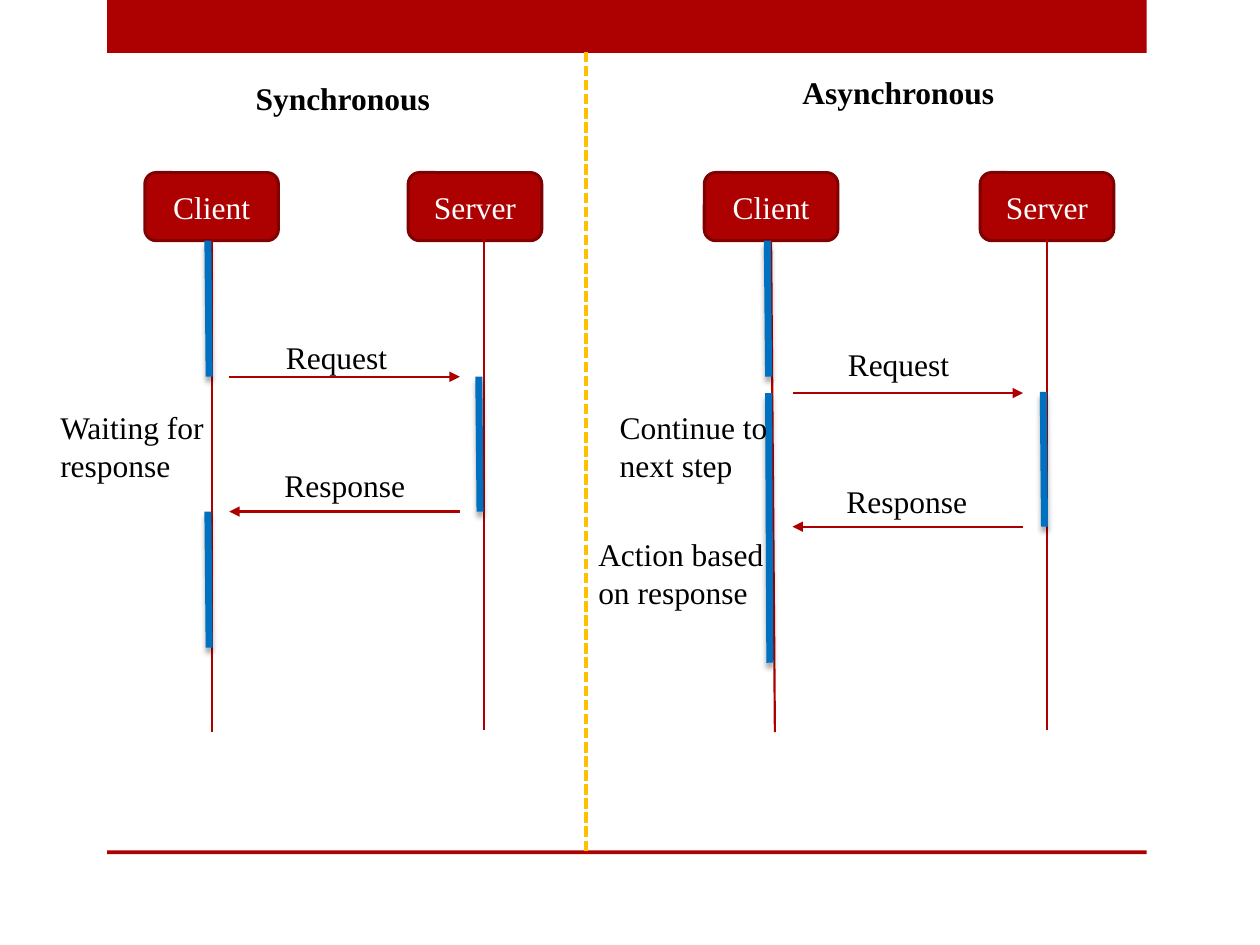
from dataclasses import dataclass

from lxml.etree import SubElement
from pptx import Presentation
from pptx.dml.color import RGBColor
from pptx.enum.dml import MSO_LINE
from pptx.enum.shapes import MSO_CONNECTOR, MSO_SHAPE as Preset
from pptx.enum.text import MSO_ANCHOR as Anchor, MSO_AUTO_SIZE as AutoSize, PP_ALIGN as Align
from pptx.oxml.ns import qn
from pptx.util import Inches, Pt


@dataclass(frozen=True)
class Theme:
    red: str = "AD0101"
    dark_red: str = "800101"
    blue: str = "0070C0"
    amber: str = "FFC000"
    black: str = "000000"
    white: str = "FFFFFF"
    font: str = "Times New Roman"
    size: float = 18
    box_line: float = 1.75
    thin_line: float = 1.25
    bar_line: float = 4
    divider_line: float = 2


THEME = Theme()
COLUMNS, ROWS = 100, 75
BOX_TOP, BOX_WIDTH, BOX_HEIGHT = 13.7, 10.6, 5.4
BOX_BOTTOM = BOX_TOP + BOX_HEIGHT
ARROW_LENGTH = 18.3

deck = Presentation()
deck.slide_width, deck.slide_height = Inches(10), Inches(7.5)
page = deck.slides.add_slide(deck.slide_layouts[6])


@dataclass(frozen=True)
class Label:
    left: float
    top: float
    width: float
    lines: tuple[str, ...]
    bold: bool = False
    height: float = 7.1


@dataclass(frozen=True)
class Participant:
    name: str
    box_left: float
    life_start: tuple[float, float]
    life_end: tuple[float, float]
    joined: bool
    bars: tuple[tuple[float, float, float], ...]  # column, first row, last row


@dataclass(frozen=True)
class Diagram:
    participants: tuple[Participant, ...]
    arrow_left: float
    request_row: float
    response_row: float
    labels: tuple[Label, ...]


def across(columns: float) -> int:
    return round(deck.slide_width * columns / COLUMNS)


def down(rows: float) -> int:
    return round(deck.slide_height * rows / ROWS)


def rgb(value: str) -> RGBColor:
    return RGBColor.from_string(value)


def write(para, text: str, color: str, bold: bool = False) -> None:
    span = para.add_run()
    span.text = text
    formats = {"name": THEME.font, "size": Pt(THEME.size), "bold": bold}
    for name, value in formats.items():
        setattr(span.font, name, value)
    span.font.color.rgb = rgb(color)


def add_block(preset, left: float, top: float, width: float, height: float):
    block = page.shapes.add_shape(preset, across(left), down(top), across(width), down(height))
    block.shadow.inherit = False
    block.fill.solid()
    block.fill.fore_color.rgb = rgb(THEME.red)
    return block


def add_band(top: float, height: float) -> None:
    add_block(Preset.RECTANGLE, 8.5, top, 82.5, height).line.fill.background()


def add_line(start, end, color: str, width: float, arrow=False, shadow=False, dash=None):
    line = page.shapes.add_connector(
        MSO_CONNECTOR.STRAIGHT, across(start[0]), down(start[1]), across(end[0]), down(end[1]))
    line.line.color.rgb = rgb(color)
    line.line.width = Pt(width)
    if dash:
        line.line.dash_style = dash
    properties = line._element.spPr
    if arrow:
        SubElement(properties.find(qn("a:ln")), qn("a:tailEnd"), type="triangle")
    effects = SubElement(properties, qn("a:effectLst"))
    if shadow:
        outer = SubElement(effects, qn("a:outerShdw"), blurRad=str(Pt(3)), dist=str(Pt(3)),
                           dir="5400000", rotWithShape="0")
        tint = SubElement(outer, qn("a:srgbClr"), val=THEME.black)
        SubElement(tint, qn("a:alpha"), val="35000")
    return line


def add_label(label: Label) -> None:
    box = page.shapes.add_textbox(
        across(label.left), down(label.top), across(label.width), down(label.height))
    frame = box.text_frame
    formats = {"word_wrap": False, "auto_size": AutoSize.SHAPE_TO_FIT_TEXT,
               "vertical_anchor": Anchor.TOP}
    for name, value in formats.items():
        setattr(frame, name, value)
    for index, text in enumerate(label.lines):
        para = frame.add_paragraph() if index else frame.paragraphs[0]
        write(para, text, THEME.black, label.bold)


def add_participant(person: Participant) -> None:
    box = add_block(Preset.ROUNDED_RECTANGLE, person.box_left, BOX_TOP, BOX_WIDTH, BOX_HEIGHT)
    box.line.color.rgb = rgb(THEME.dark_red)
    box.line.width = Pt(THEME.box_line)
    box.text_frame.vertical_anchor = Anchor.MIDDLE
    para = box.text_frame.paragraphs[0]
    para.alignment = Align.CENTER
    write(para, person.name, THEME.white)

    lifeline = add_line(person.life_start, person.life_end, THEME.red, THEME.thin_line)
    if person.joined:
        lifeline.begin_connect(box, 2)
    for column, first, last in person.bars:
        add_line((column, first), (column + 0.1, last), THEME.blue, THEME.bar_line, shadow=True)


def add_diagram(diagram: Diagram) -> None:
    for person in diagram.participants:
        add_participant(person)
    left, right = diagram.arrow_left, diagram.arrow_left + ARROW_LENGTH
    for start, end, row in ((left, right, diagram.request_row),
                            (right, left, diagram.response_row)):
        add_line((start, row), (end, row), THEME.red, THEME.thin_line, arrow=True)
    for label in diagram.labels:
        add_label(label)


SYNCHRONOUS = Diagram(
    participants=(
        Participant("Client", 11.5, (16.8, BOX_BOTTOM), (16.8, 58.1), True,
                    ((16.5, BOX_BOTTOM, 29.9), (16.5, 40.6, 51.4))),
        Participant("Server", 32.4, (38.4, 18.9), (38.4, 57.9), False, ((38, 29.9, 40.6),)),
    ),
    arrow_left=18.2, request_row=29.9, response_row=40.6,
    labels=(
        Label(19.3, 5.8, 16, ("Synchronous",), bold=True),
        Label(21.7, 26.3, 10.2, ("Request",)),
        Label(21.6, 36.5, 11.7, ("Response",)),
        Label(3.8, 31.9, 13.5, ("Waiting for", "response")),
    ),
)
ASYNCHRONOUS = Diagram(
    participants=(
        Participant("Client", 55.9, (61.2, BOX_BOTTOM), (61.5, 58.1), True,
                    ((60.9, BOX_BOTTOM, 29.9), (61, 31.2, 52.6))),
        Participant("Server", 77.8, (83.1, BOX_BOTTOM), (83.1, 57.9), True,
                    ((82.8, 31.1, 41.8),)),
    ),
    arrow_left=62.9, request_row=31.2, response_row=41.8,
    labels=(
        Label(62.7, 5.3, 17.4, ("Asynchronous",), bold=True, height=4),
        Label(66.3, 26.9, 10.2, ("Request",)),
        Label(66.2, 37.8, 11.7, ("Response",)),
        Label(48.2, 31.9, 13.9, ("Continue to", "next step")),
        Label(46.5, 42, 15.3, ("Action based", "on response")),
    ),
)

# Header and footer bands
add_band(0, 4.2)
add_band(67.5, 0.3)

# The two sequence diagrams
for sequence in (SYNCHRONOUS, ASYNCHRONOUS):
    add_diagram(sequence)

# Divider between them
add_line((46.5, 4.1), (46.5, 67.6), THEME.amber, THEME.divider_line, dash=MSO_LINE.SQUARE_DOT)

deck.save("out.pptx")
